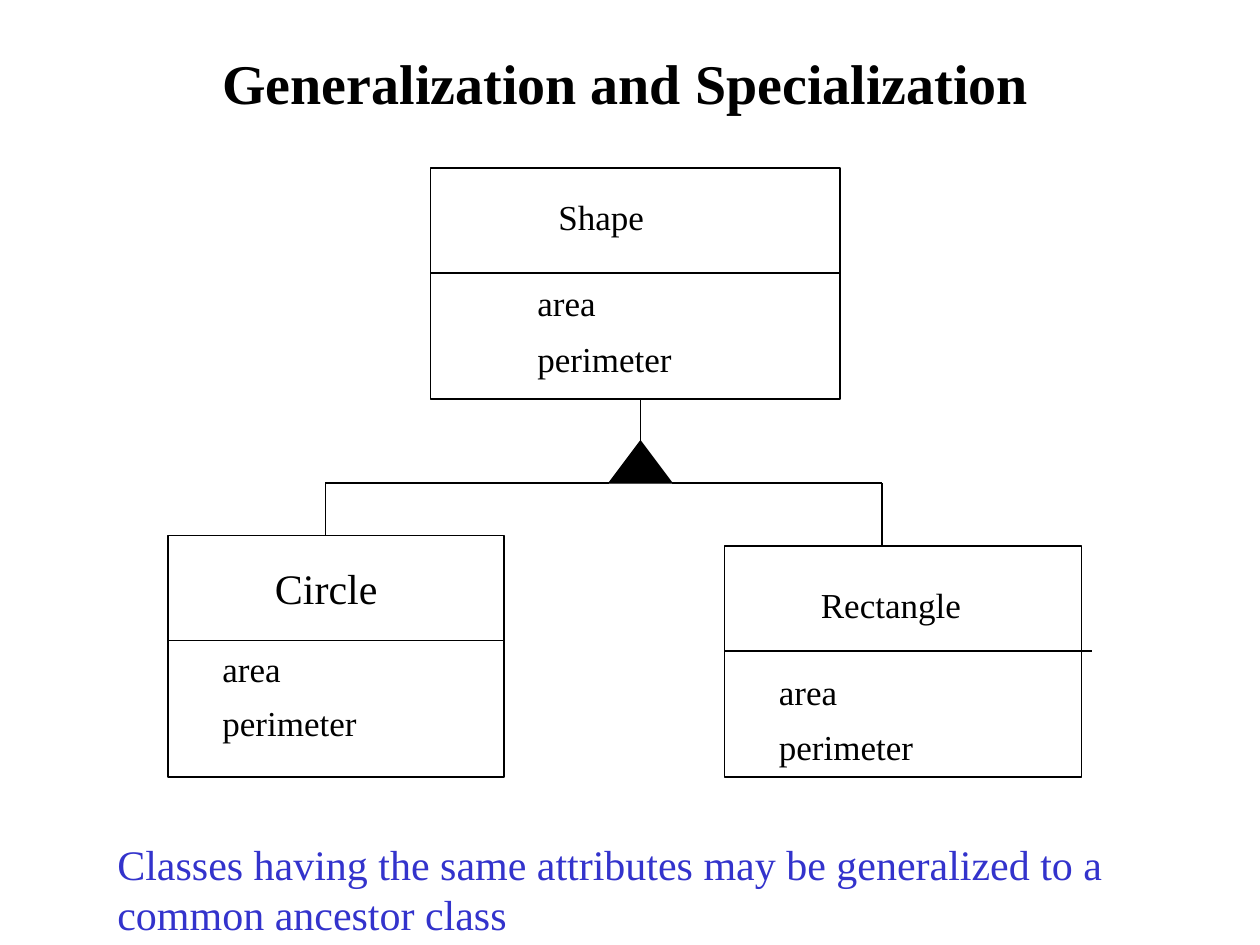
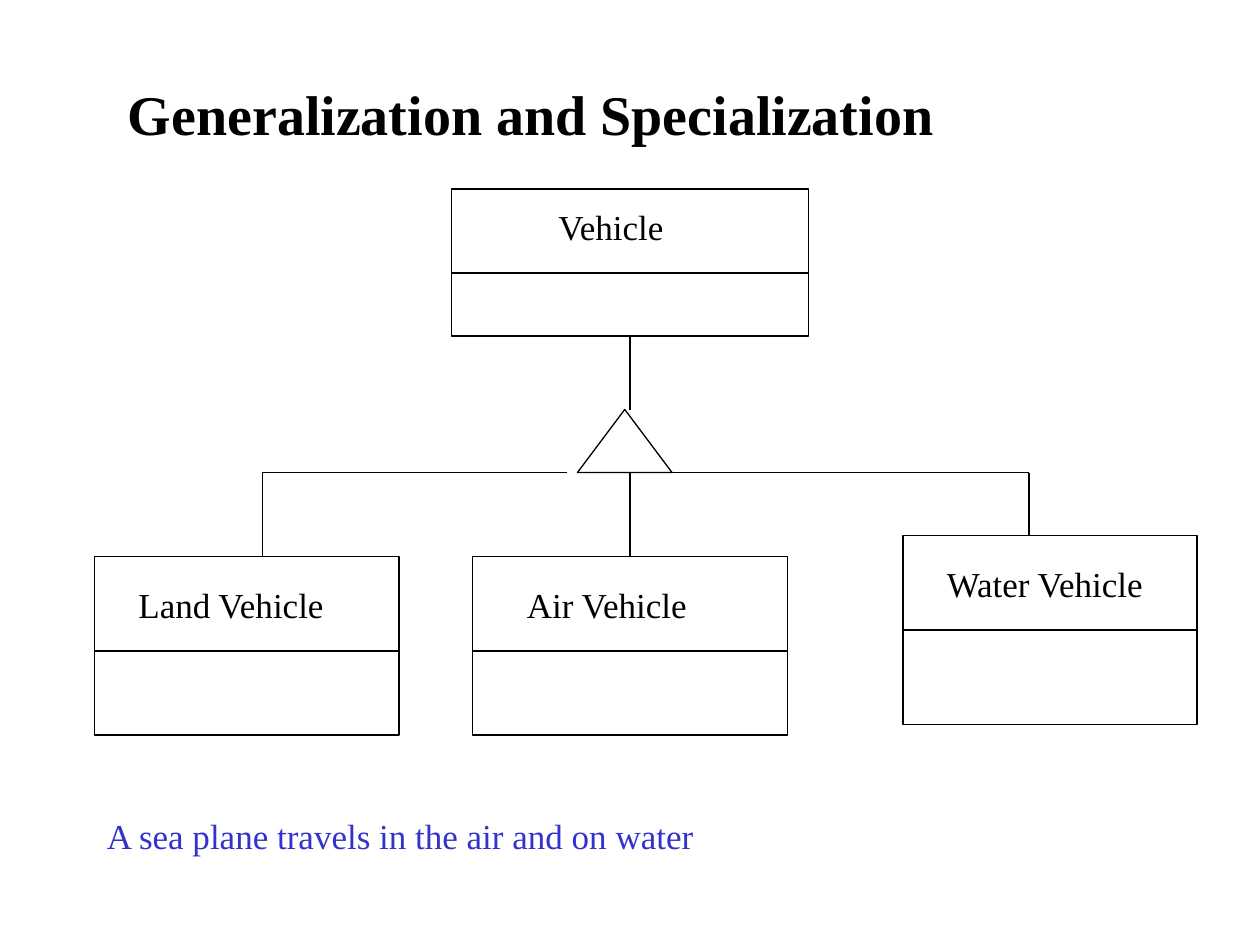
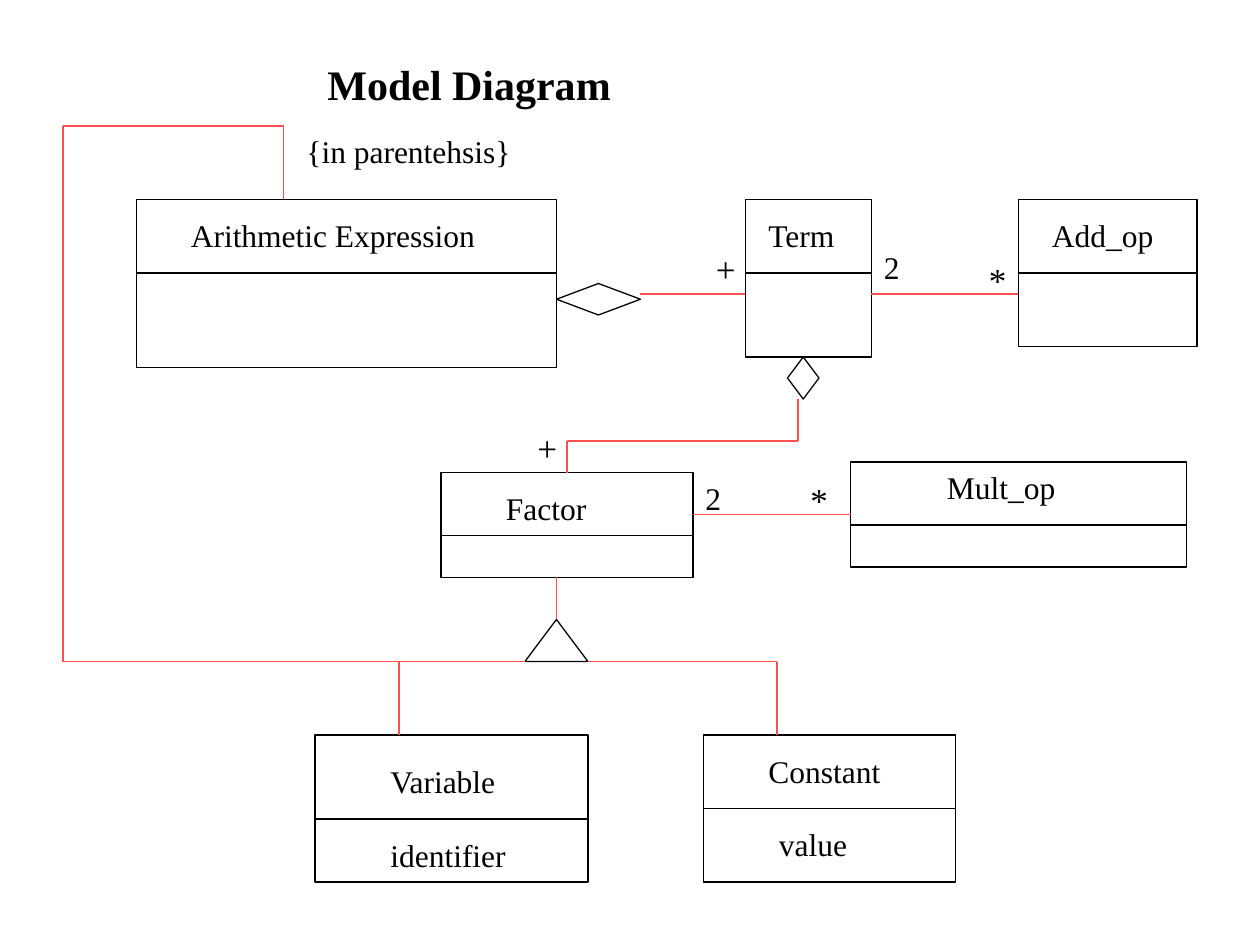
from dataclasses import dataclass

from pptx import Presentation
from pptx.dml.color import RGBColor
from pptx.enum.shapes import MSO_CONNECTOR, MSO_SHAPE
from pptx.enum.text import MSO_ANCHOR, MSO_AUTO_SIZE, PP_ALIGN
from pptx.oxml.ns import qn
from pptx.util import Cm, Pt
from lxml import etree

STRAIGHT = MSO_CONNECTOR.STRAIGHT
RECTANGLE = MSO_SHAPE.RECTANGLE
TRIANGLE = MSO_SHAPE.FLOWCHART_EXTRACT
DIAMOND = MSO_SHAPE.FLOWCHART_DECISION
TOP = MSO_ANCHOR.TOP
GROW = MSO_AUTO_SIZE.SHAPE_TO_FIT_TEXT
LEFT = PP_ALIGN.LEFT
TITLE_ONLY = 5


@dataclass(frozen=True)
class Theme:
    font: str = "Times New Roman"
    ink: RGBColor = RGBColor(0x00, 0x00, 0x00)
    paper: RGBColor = RGBColor(0xFF, 0xFF, 0xFF)
    caption: RGBColor = RGBColor(0x33, 0x33, 0xCC)
    relation: RGBColor = RGBColor(0xFF, 0x50, 0x50)
    title_size: int = 32
    large: int = 24
    body: int = 20
    small: int = 18
    line_width: float = 0.75
    paragraph_gap: float = 12.5


def grid(steps):
    """Length of a number of grid steps, twelve to the inch."""
    return Cm(2.54 * steps / 12)


class Deck:
    def __init__(self, theme):
        self.theme = theme
        self.presentation = Presentation()
        self.presentation.slide_width = Cm(25.4)
        self.presentation.slide_height = Cm(19.05)
        self.slide = None

    def new_slide(self, title, place, size):
        layout = self.presentation.slide_layouts[TITLE_ONLY]
        self.slide = self.presentation.slides.add_slide(layout)
        box = self.slide.shapes.title
        box.left, box.top, box.width = map(grid, place)
        box.height = self.text_height(size, 1)
        self.fill_text(box, [title], size, self.theme.ink, bold=True)

    def text_height(self, size, lines):
        return Cm(0.25) + Pt(1.22 * size * lines)

    def fill_text(self, box, lines, size, color, bold=False, spacing=None):
        frame = box.text_frame
        frame.word_wrap = True
        frame.auto_size = GROW
        frame.vertical_anchor = TOP
        frame.margin_left = frame.margin_right = Cm(0.25)
        frame.margin_top = frame.margin_bottom = Cm(0.13)
        for index, line in enumerate(lines):
            para = frame.add_paragraph() if index else frame.paragraphs[0]
            para.alignment = LEFT
            para.space_before = Pt(self.theme.paragraph_gap if index else 0)
            if spacing:
                para.line_spacing = spacing
            span = para.add_run()
            span.text = line
            span.font.name = self.theme.font
            span.font.size = Pt(size)
            span.font.bold = bold
            span.font.color.rgb = color

    def text(self, lines, place, size, color=None, spacing=None, rows=1, parent=None):
        left, top, width = map(grid, place)
        shapes = (parent or self.slide).shapes
        box = shapes.add_textbox(left, top, width, self.text_height(size, rows))
        self.fill_text(box, lines, size, color or self.theme.ink, spacing=spacing)

    def shape(self, kind, place, fill=None, parent=None):
        shape = (parent or self.slide).shapes.add_shape(kind, *map(grid, place))
        shape.shadow.inherit = False
        shape.fill.solid()
        shape.fill.fore_color.rgb = fill or self.theme.paper
        shape.line.color.rgb = self.theme.ink
        shape.line.width = Pt(self.theme.line_width)

    def route(self, *points, color=None, parent=None):
        """Straight connectors from each point to the next."""
        shapes = (parent or self.slide).shapes
        for start, end in zip(points, points[1:]):
            line = shapes.add_connector(STRAIGHT, *map(grid, start + end))
            line.line.color.rgb = color or self.theme.ink
            line.line.width = Pt(self.theme.line_width)
            etree.SubElement(line._element.spPr, qn("a:effectLst"))

    def class_box(self, name, frame, divider, name_place, size,
                  attributes=(), attribute_place=None, spacing=None, overhang=0):
        left, top, width, height = frame
        group = self.slide.shapes.add_group_shape()
        self.shape(RECTANGLE, frame, parent=group)
        self.route((left, divider), (left + width + overhang, divider), parent=group)
        self.text([name], name_place, size, parent=group)
        if attributes:
            self.text(attributes, attribute_place, min(size, self.theme.body),
                      spacing=spacing, rows=len(attributes), parent=group)


def build_shapes(deck, theme):
    deck.new_slide("Generalization and Specialization", (20, 4, 84), theme.title_size)

    # Parent class and its two subclasses
    attributes = ["area", "perimeter"]
    deck.class_box("Circle", (16, 51, 32, 23), 61, (25, 53, 16), theme.large,
                   attributes, (20, 62, 19), 0.75)
    deck.class_box("Rectangle", (69, 52, 34, 22), 62, (77, 55, 21), theme.body,
                   attributes, (73, 64, 25), 0.8, overhang=1)
    deck.class_box("Shape", (41, 16, 39, 22), 26, (52, 18, 14), theme.body,
                   attributes, (50, 27, 18), 0.8)

    # Inheritance tree
    deck.shape(TRIANGLE, (58, 42, 6, 4), theme.ink)
    deck.route((61, 38), (61, 42))
    deck.route((58, 46), (31, 46), (31, 51))
    deck.route((64, 46), (84, 46), (84, 52))

    deck.text(["Classes having the same attributes may be generalized to a "
               "common ancestor class"], (10, 79.2, 101), theme.large,
              theme.caption, rows=2)


def build_vehicles(deck, theme):
    deck.new_slide("Generalization and Specialization", (11, 7, 102), theme.title_size)

    # Parent class and its three subclasses
    for name, frame, divider, name_place in (
        ("Vehicle", (43, 18, 34, 14), 26, (52, 19, 15)),
        ("Land Vehicle", (9, 53, 29, 17), 62, (12, 55, 22)),
        ("Air Vehicle", (45, 53, 30, 17), 62, (49, 55, 21)),
        ("Water Vehicle", (86, 51, 28, 18), 60, (89, 53, 23)),
    ):
        deck.class_box(name, frame, divider, name_place, theme.body)

    # Inheritance tree
    deck.shape(TRIANGLE, (55, 39, 9, 6))
    deck.route((60, 32), (60, 39))
    deck.route((54, 45), (25, 45), (25, 53))
    deck.route((64, 45), (98, 45), (98, 51))
    deck.route((60, 45), (60, 53))

    deck.text(["A sea plane travels in the air and on water"], (9, 77, 106),
              theme.body, theme.caption)


def build_model(deck, theme):
    deck.new_slide("Model Diagram", (30, 5, 47), theme.large)

    # Classes
    for name, frame, divider, name_place, *attribute in (
        ("Arithmetic Expression", (13, 19, 40, 16), 26, (17, 20, 30)),
        ("Term", (71, 19, 12, 15), 26, (72, 20, 10)),
        ("Add_op", (97, 19, 17, 14), 26, (99, 20, 14)),
        ("Factor", (42, 45, 24, 10), 51, (47, 46, 14)),
        ("Mult_op", (81, 44, 32, 10), 50, (89, 44, 16)),
        ("Variable", (30, 70, 26, 14), 78, (36, 72, 15), ["identifier"], (36, 79, 16)),
        ("Constant", (67, 70, 24, 14), 77, (72, 71, 14), ["value"], (73, 78, 12)),
    ):
        deck.class_box(name, frame, divider, name_place, theme.small, *attribute)

    # Inheritance triangle and aggregation diamonds
    deck.shape(TRIANGLE, (50, 59, 6, 4))
    deck.shape(DIAMOND, (53, 27, 8, 3))
    deck.shape(DIAMOND, (75, 34, 3, 4))

    # Relations
    for points in (
        [(53, 59), (53, 55)],
        [(56, 63), (74, 63), (74, 70)],
        [(50, 63), (6, 63), (6, 12), (27, 12), (27, 19)],
        [(38, 63), (38, 70)],
        [(61, 28), (71, 28)],
        [(54, 45), (54, 42), (76, 42), (76, 38)],
        [(83, 28), (97, 28)],
        [(66, 49), (81, 49)],
    ):
        deck.route(*points, color=theme.relation)

    # Constraint and multiplicities
    for label, place, size in (
        ("{in parentehsis}", (28, 12, 26), theme.small),
        ("*", (93, 24, 3), theme.body),
        ("*", (76, 45, 4), theme.body),
        ("2", (83, 23, 5), theme.small),
        ("2", (66, 45, 4), theme.small),
        ("+", (67, 23, 3), theme.body),
        ("+", (50, 40, 4), theme.body),
    ):
        deck.text([label], place, size)


def main():
    theme = Theme()
    deck = Deck(theme)
    build_shapes(deck, theme)
    build_vehicles(deck, theme)
    build_model(deck, theme)
    deck.presentation.save("out.pptx")


if __name__ == "__main__":
    main()
